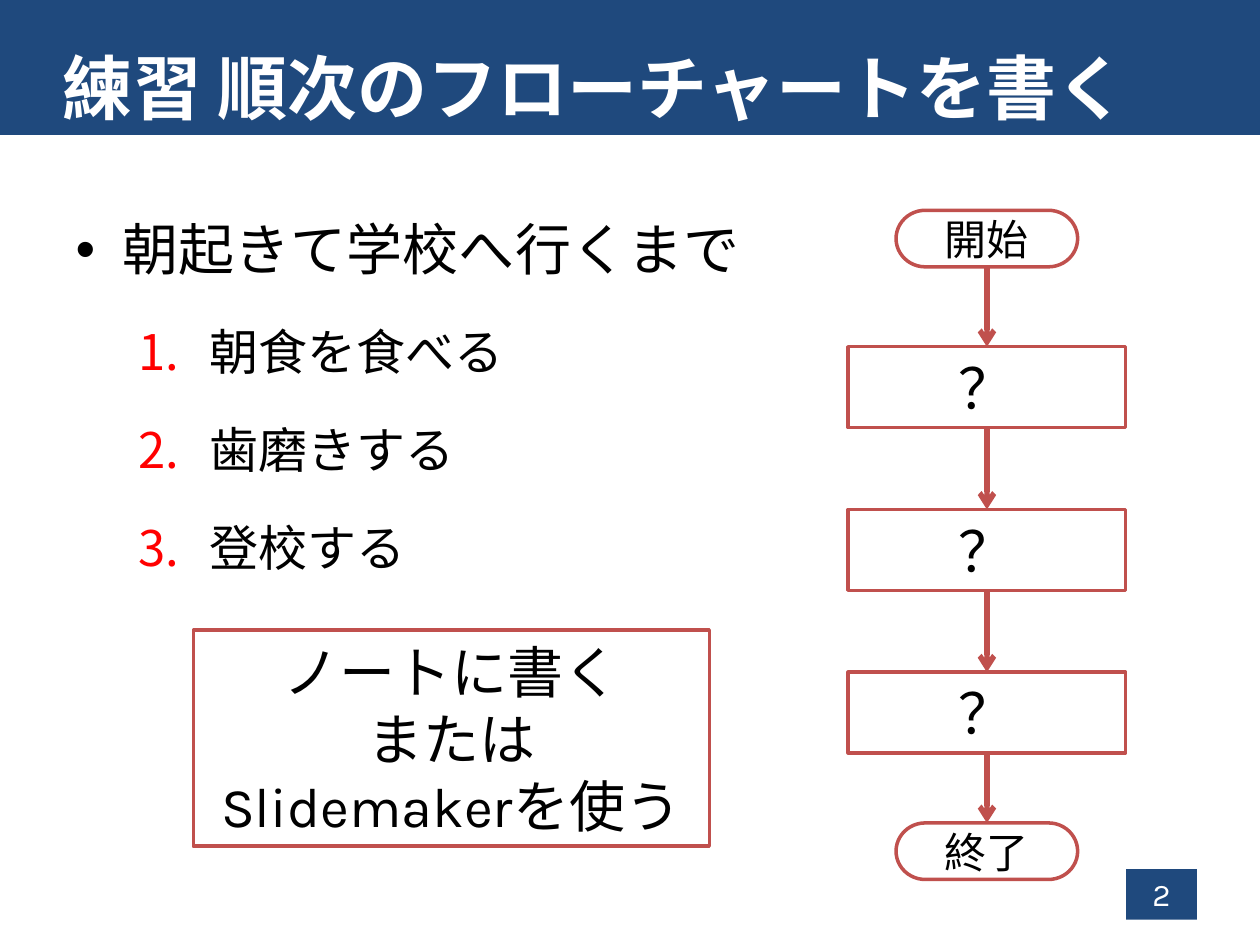
import pptx
import pptx.util
import pptx.oxml
import pptx.oxml.ns
import pptx.dml.color
import pptx.enum.shapes
import pptx.enum.text

Cm = pptx.util.Cm
Pt = pptx.util.Pt
SHAPE = pptx.enum.shapes.MSO_SHAPE
ALIGN = pptx.enum.text.PP_ALIGN
ANCHOR = pptx.enum.text.MSO_ANCHOR

NAVY = pptx.dml.color.RGBColor(0x1F, 0x49, 0x7D)
BRICK = pptx.dml.color.RGBColor(0xC0, 0x50, 0x4D)
RED = pptx.dml.color.RGBColor(0xFF, 0x00, 0x00)
WHITE = pptx.dml.color.RGBColor(0xFF, 0xFF, 0xFF)
BLACK = pptx.dml.color.RGBColor(0x00, 0x00, 0x00)
FONT = "Karla"


def place(shape, box):
    shape.left, shape.top, shape.width, shape.height = (Cm(length) for length in box)


def format_text(paragraph, size, color, bold=False):
    for run in paragraph.runs:
        run.font.name = FONT
        run.font.size = Pt(size)
        run.font.bold = bold
        run.font.color.rgb = color


def append_xml(parent, tag, **attributes):
    child = pptx.oxml.parse_xml(f"<a:{tag} {pptx.oxml.ns.nsdecls('a')}/>")
    for name, value in attributes.items():
        child.set(name, value)
    parent.append(child)
    return child


def add_box(slide, kind, box, text, size, fill=WHITE, line=BRICK, color=BLACK):
    """Add a filled shape with centred text; line None means no outline."""
    shape = slide.shapes.add_shape(kind, *(Cm(length) for length in box))
    shape.shadow.inherit = False
    shape.fill.solid()
    shape.fill.fore_color.rgb = fill
    if line is None:
        shape.line.fill.background()
    else:
        shape.line.color.rgb = line
        shape.line.width = Pt(2)
    frame = shape.text_frame
    frame.text = text
    frame.vertical_anchor = ANCHOR.MIDDLE
    for paragraph in frame.paragraphs:
        paragraph.alignment = ALIGN.CENTER
        format_text(paragraph, size, color)
    return shape


def add_arrow(slide, upper, lower):
    """Join the bottom of one shape to the top of the next."""
    connector = slide.shapes.add_connector(
        pptx.enum.shapes.MSO_CONNECTOR.STRAIGHT, 0, 0, 0, 0)
    connector.begin_connect(upper, 2)
    connector.end_connect(lower, 0)
    connector.line.color.rgb = BRICK
    connector.line.width = Pt(3)
    properties = connector.element.spPr
    line = properties.find(pptx.oxml.ns.qn("a:ln"))
    append_xml(line, "tailEnd", type="arrow")
    append_xml(properties, "effectLst")


def fill_title(slide, box):
    title = slide.shapes.title
    place(title, box)
    title.fill.solid()
    title.fill.fore_color.rgb = NAVY
    frame = title.text_frame
    frame.text = "練習 順次のフローチャートを書く"
    frame.vertical_anchor = ANCHOR.BOTTOM
    frame.auto_size = pptx.enum.text.MSO_AUTO_SIZE.NONE
    paragraph = frame.paragraphs[0]
    paragraph.alignment = ALIGN.LEFT
    paragraph._p.get_or_add_pPr().set("indent", str(Cm(1)))
    format_text(paragraph, 40, WHITE, bold=True)


def fill_steps(slide, box):
    body = slide.placeholders[1]
    place(body, box)
    frame = body.text_frame
    frame.text = "朝起きて学校へ行くまで\n朝食を食べる\n歯磨きする\n登校する"
    frame.auto_size = pptx.enum.text.MSO_AUTO_SIZE.NONE
    heading, *steps = frame.paragraphs
    heading.line_spacing = 1.5
    heading.space_before = Pt(0)
    format_text(heading, 32, BLACK)
    for step in steps:
        step.level = 1
        step.line_spacing = 1.5
        properties = step._p.get_or_add_pPr()
        properties.set("marL", str(Cm(2.7)))
        properties.set("indent", str(Cm(-1.43)))
        bullet_color = append_xml(properties, "buClr")
        append_xml(bullet_color, "srgbClr", val=str(RED))
        append_xml(properties, "buFont", typeface="+mj-lt")
        append_xml(properties, "buAutoNum", type="arabicPeriod")
        format_text(step, 28, BLACK)


def add_flowchart(slide, box):
    """Stack start, three steps and end on the centre line of the box."""
    left, top, width, height = box
    end_width, end_height = 3.66, 1.14
    step_height, first_step, pitch = 1.63, 2.75, 3.28
    end_left = left + (width - end_width) / 2

    def add_end(text, end_top):
        return add_box(slide, SHAPE.FLOWCHART_TERMINATOR,
                       (end_left, end_top, end_width, end_height), text, 24)

    start = add_end("開始", top)
    steps = [
        add_box(slide, SHAPE.FLOWCHART_PROCESS,
                (left, top + first_step + pitch * index, width, step_height),
                "？", 32)
        for index in range(3)
    ]
    end = add_end("終了", top + height - end_height)
    for terminator in (start, end):
        terminator.text_frame.word_wrap = False
    chain = [start, *steps, end]
    for upper, lower in zip(chain, chain[1:]):
        add_arrow(slide, upper, lower)


def main():
    presentation = pptx.Presentation()
    presentation.slide_width = Cm(25.4)
    presentation.slide_height = Cm(19.05)
    slide = presentation.slides.add_slide(presentation.slide_layouts[1])
    fill_title(slide, (0, 0, 25.4, 2.72))
    fill_steps(slide, (1.27, 3.53, 18.44, 13.49))
    add_box(slide, SHAPE.RECTANGLE, (22.7, 17.52, 1.43, 1.02), "2", 18,
            fill=NAVY, line=None, color=WHITE)
    add_flowchart(slide, (17.1, 4.24, 5.59, 13.49))
    add_box(slide, SHAPE.FLOWCHART_PROCESS, (3.9, 12.7, 10.4, 4.36),
            "ノートに書く\nまたは\nSlidemakerを使う", 32)
    presentation.save("out.pptx")


if __name__ == "__main__":
    main()
